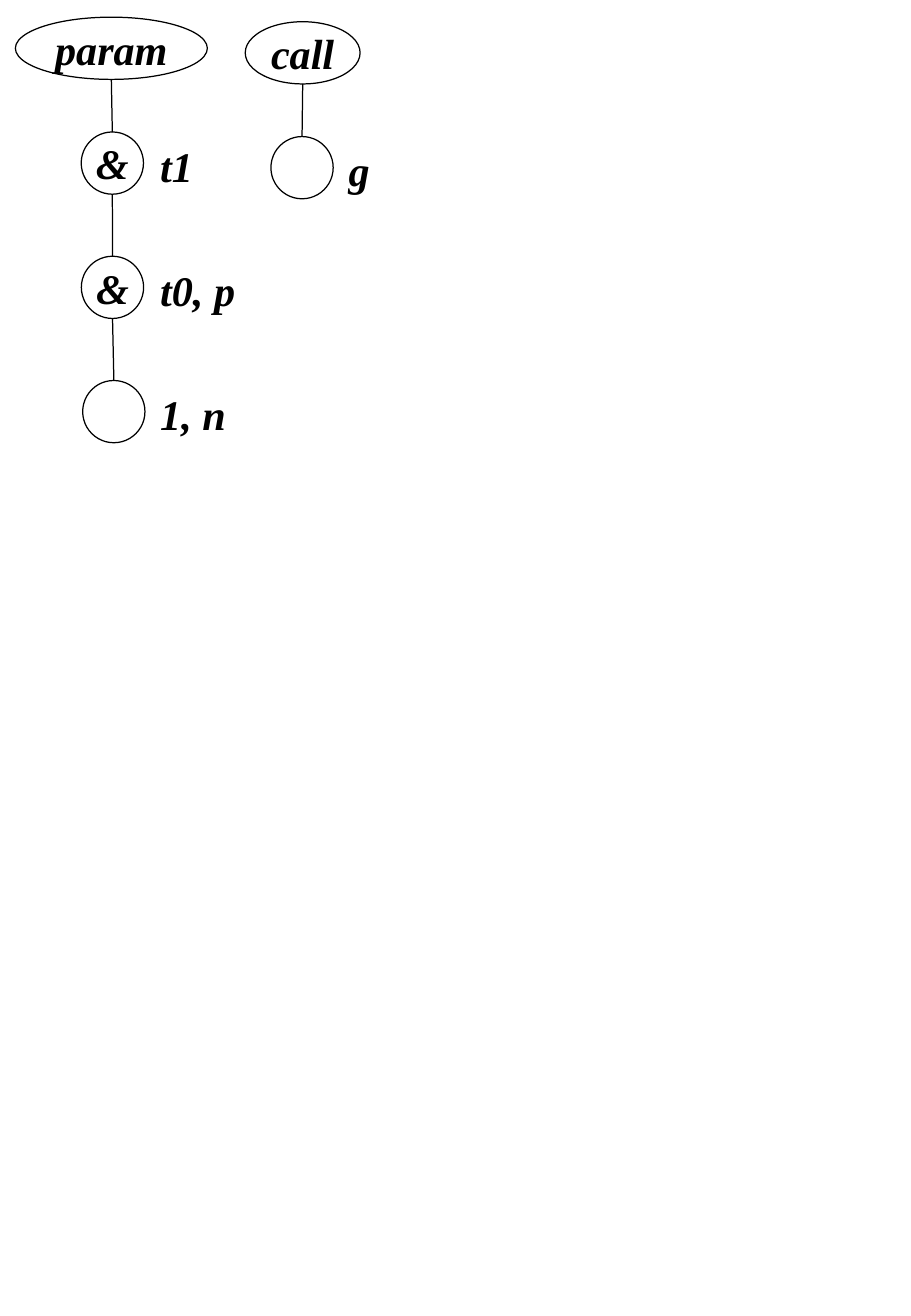
from lxml import etree
from pptx import Presentation
from pptx import util as u
from pptx.dml.color import RGBColor
from pptx.enum import shapes, text
from pptx.oxml.ns import qn

INK = "000000"
DIAMETER = 36.9   # circle size and height of the root ellipse
FIRST_STEP = 68.1  # root top to first node top
NODE_STEP = 73.7  # node top to next node top


def colour(value):
    return RGBColor.from_string(value)


def write(shape, words, align, side_inset, wrap):
    frame = shape.text_frame
    frame.word_wrap = wrap
    frame.vertical_anchor = text.MSO_ANCHOR.MIDDLE
    frame.margin_left = frame.margin_right = u.Pt(side_inset)
    frame.margin_top = frame.margin_bottom = u.Pt(3.6)
    para = frame.paragraphs[0]
    para.text = words
    para.alignment = align
    font = para.font
    font.name, font.size = "Times New Roman", u.Pt(25)
    font.bold = font.italic = True
    font.color.rgb = colour(INK)


def add_ellipse(page, left, top, width, words):
    ellipse = page.shapes.add_shape(
        shapes.MSO_SHAPE.OVAL, u.Pt(left), u.Pt(top), u.Pt(width), u.Pt(DIAMETER))
    ellipse.shadow.inherit = False
    ellipse.fill.background()
    ellipse.line.color.rgb = colour(INK)
    ellipse.line.width = u.Pt(0.75)
    if words:
        write(ellipse, words, text.PP_ALIGN.CENTER, 7.2, False)
    return ellipse


def add_label(page, left, top, words):
    label = page.shapes.add_textbox(u.Pt(left), u.Pt(top), u.Pt(72), u.Pt(33.8))
    write(label, words, text.PP_ALIGN.LEFT, 7.9, True)


def add_edge(page, parent, child):
    edge = page.shapes.add_connector(
        shapes.MSO_CONNECTOR.STRAIGHT,
        parent.left + parent.width // 2, parent.top + parent.height,
        child.left + child.width // 2, child.top)
    edge.end_connect(child, 0)
    edge.line.color.rgb = colour(INK)
    edge.line.width = u.Pt(0.75)
    etree.SubElement(edge._element.spPr, qn("a:effectLst"))


def add_chain(page, left, top, width, root, label_left, nodes):
    """A root ellipse over a chain of circles, each with a label at its right."""
    # Root
    parent = add_ellipse(page, left, top, width, root)
    middle = left + width / 2
    for index, (symbol, label, shift) in enumerate(nodes):
        # Circle, label and edge from the one above
        node_top = top + FIRST_STEP + index * NODE_STEP
        circle = add_ellipse(
            page, middle - DIAMETER / 2 + shift, node_top, DIAMETER, symbol)
        add_label(page, left + label_left, node_top + 2.9, label)
        add_edge(page, parent, circle)
        parent = circle


def main():
    deck = Presentation()
    deck.slide_width = u.Pt(540)
    deck.slide_height = u.Pt(780.48)
    # The template's 4:3 size type does not fit this page
    size = deck.element.find(qn("p:sldSz"))
    size.attrib.pop("type", None)
    page = deck.slides.add_slide(deck.slide_layouts[6])

    # Chains: nodes are (symbol, label, sideways shift)
    add_chain(page, 9.1, 10.2, 113.8, "param", 78,
              [("&", "t1", 0.6), ("&", "t0, p", 0.7), ("", "1, n", 1.5)])
    add_chain(page, 145.4, 12.9, 68.1, "call", 53.3, [("", "g", -0.4)])

    deck.save("out.pptx")


if __name__ == "__main__":
    main()
